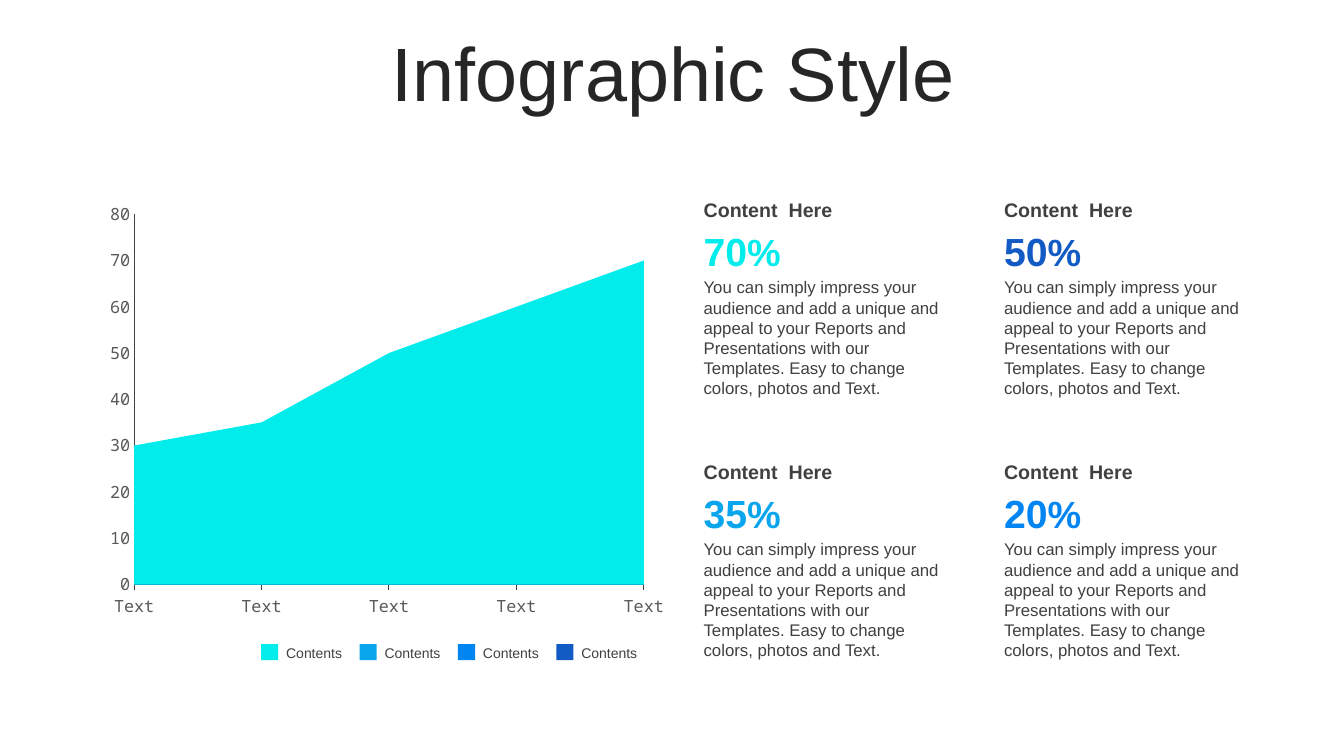
import pptx
import pptx.chart.data
import pptx.dml.color
import pptx.enum.chart
import pptx.enum.shapes
import pptx.enum.text
import pptx.oxml
import pptx.util

Inches = pptx.util.Inches
Pt = pptx.util.Pt
ANCHOR = pptx.enum.text.MSO_ANCHOR
TICK = pptx.enum.chart.XL_TICK_MARK

COLORS = {
    "title": "262626", "text": "404040", "axis": "595959",
    "aqua": "02ECEC", "sky": "0AA6ED", "azure": "0085F2", "navy": "125AC4",
}
TITLE = "Infographic Style"
HEAD = "Content  Here"
BODY = ("You can simply impress your audience and add a unique and appeal to your "
        "Reports and Presentations with our Templates. Easy to change colors, "
        "photos and Text.")
CARDS = [("70", "aqua"), ("50", "navy"), ("35", "sky"), ("20", "azure")]
LEGEND = [("Contents", "aqua"), ("Contents", "sky"),
          ("Contents", "azure"), ("Contents", "navy")]
CATS = ["Text"] * 5
SERIES = [
    ("Series 1", (5, 10, 20, 25, 20), "aqua"),
    ("Series 2", (30, 35, 50, 60, 70), "aqua"),
    ("Series 3", (30, 25, 35, 40, 50), "sky"),
    ("Series 4", (10, 15, 25, 30, 35), "azure"),
    ("Series 5", (5, 10, 20, 25, 20), "navy"),
]
PLOT = {"x": 0.06, "y": 0.05, "w": 0.89, "h": 0.85}


def rgb(key):
    return pptx.dml.color.RGBColor.from_string(COLORS[key])


def style(font, size, key, bold=False, name="Arial"):
    font.name = name
    font.size = Pt(size)
    font.bold = bold
    font.color.rgb = rgb(key)


def add_text(slide, at, runs, key, bold=False, anchor=ANCHOR.MIDDLE):
    box = slide.shapes.add_textbox(*map(Inches, at))
    frame = box.text_frame
    frame.word_wrap = True
    frame.vertical_anchor = anchor
    para = frame.paragraphs[0]
    for text, size in runs:
        run = para.add_run()
        run.text = text
        style(run.font, size, key, bold)
    return para


def add_legend(slide):
    for i, (label, key) in enumerate(LEGEND):
        left = 2.59 + i * 0.976
        mark = slide.shapes.add_shape(
            pptx.enum.shapes.MSO_SHAPE.RECTANGLE,
            *map(Inches, (left, 6.39, 0.17, 0.16)))
        mark.shadow.inherit = False
        mark.fill.solid()
        mark.fill.fore_color.rgb = rgb(key)
        mark.line.fill.background()
        add_text(slide, (left + 0.15, 6.34, 0.84, 0.27), [(label, 10)], "text")


def add_cards(slide):
    for i, (value, key) in enumerate(CARDS):
        row, col = divmod(i, 2)
        left, top = 6.88 + col * 2.98, 1.91 + row * 2.6
        add_text(slide, (left, top, 2.62, 0.34), [(HEAD, 14)], "text", True)
        add_text(slide, (left, top + 0.79, 2.61, 1.31), [(BODY, 12)], "text",
                 anchor=ANCHOR.TOP)
        add_text(slide, (left, top + 0.29, 2.61, 0.57),
                 [(value, 28), ("%", 27)], key, True)


def add_area(slide):
    data = pptx.chart.data.CategoryChartData()
    data.categories = CATS
    for name, vals, key in SERIES:
        data.add_series(name, vals)
    chart = slide.shapes.add_chart(
        pptx.enum.chart.XL_CHART_TYPE.AREA,
        *map(Inches, (0.99, 1.91, 5.68, 4.32)), data).chart
    chart.has_legend = False
    chart.has_title = False
    chart.font.name = "Noto Sans Mono"
    chart.font.size = Pt(10)
    plot = chart.plots[0]
    plot.vary_by_categories = False
    for part, (name, vals, key) in zip(plot.series, SERIES):
        part.format.fill.solid()
        part.format.fill.fore_color.rgb = rgb(key)
        part.format.line.fill.background()
    for axis, tick in ((chart.category_axis, TICK.CROSS),
                       (chart.value_axis, TICK.NONE)):
        axis.has_major_gridlines = False
        axis.major_tick_mark = tick
        axis.minor_tick_mark = TICK.NONE
        axis.format.line.color.rgb = rgb("text")
        axis.format.line.width = Pt(0.75)
        style(axis.tick_labels.font, 12, "axis", name="Noto Sans Mono")
    chart.value_axis.minimum_scale = 0
    chart.value_axis.maximum_scale = 80
    chart.value_axis.major_unit = 10
    for cross in chart.element.xpath(".//c:crossBetween"):
        cross.set("val", "midCat")
    area = chart.element.xpath(".//c:plotArea")[0]
    for old in area.xpath("./c:layout"):
        area.remove(old)
    spots = "".join(f'<c:{k} val="{v}"/>' for k, v in PLOT.items())
    area.insert(0, pptx.oxml.parse_xml(
        '<c:layout xmlns:c="http://schemas.openxmlformats.org/drawingml/2006/chart">'
        '<c:manualLayout><c:layoutTarget val="inner"/><c:xMode val="edge"/>'
        f'<c:yMode val="edge"/>{spots}</c:manualLayout></c:layout>'))


def main():
    deck = pptx.Presentation()
    deck.slide_width = Inches(13.33)
    deck.slide_height = Inches(7.5)
    slide = deck.slides.add_slide(deck.slide_layouts[6])
    title = add_text(slide, (0.35, 0.37, 12.66, 0.79), [(TITLE, 54)], "title")
    title.alignment = pptx.enum.text.PP_ALIGN.CENTER
    title.line_spacing = 0.9
    add_legend(slide)
    add_cards(slide)
    add_area(slide)
    deck.save("out.pptx")


if __name__ == "__main__":
    main()
